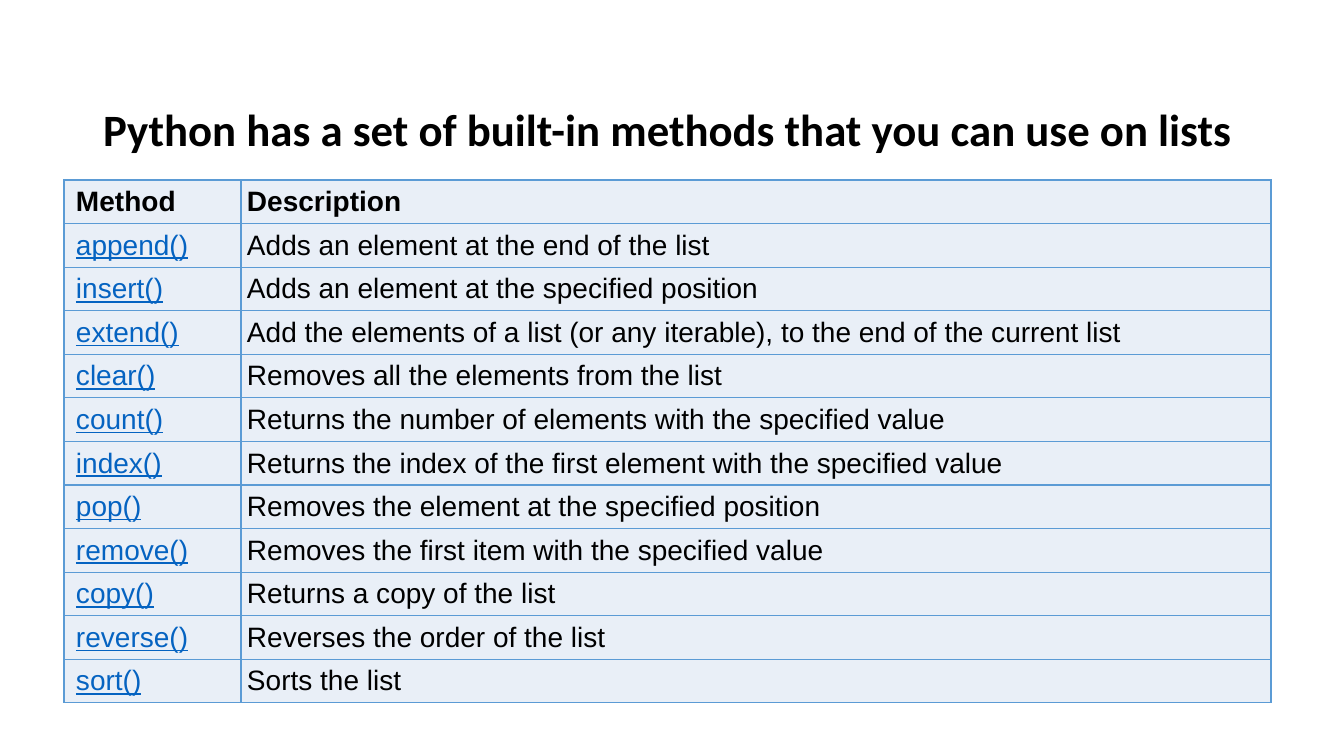
from dataclasses import dataclass

from lxml.etree import SubElement
from pptx import Presentation
from pptx.dml.color import RGBColor as RGB
from pptx.enum.text import MSO_ANCHOR as ANCHOR, MSO_AUTO_SIZE as AUTO, PP_ALIGN as ALIGN
from pptx.oxml.ns import qn
from pptx.util import Pt

SLIDE_W, SLIDE_H = 1344, 756
EMU_PER_PX = 12192000 / SLIDE_W


def px(n):
    return round(n * EMU_PER_PX)


@dataclass(frozen=True)
class Theme:
    text: str = "000000"
    link: str = "0563C1"
    cell: str = "E9EFF7"
    border: str = "5B9BD5"
    title_font: str = "Calibri"
    table_font: str = "Arial"
    title_size: int = 32
    table_size: int = 20
    border_width: int = 1


class SlideBuilder:
    def __init__(self, slide, theme):
        self.slide = slide
        self.theme = theme

    def style_run(self, r, font, size, color, bold=False, underline=False):
        r.font.name = font
        r.font.size = Pt(size)
        r.font.color.rgb = RGB.from_string(color)
        r.font.bold = bold
        r.font.underline = underline

    def title(self, text, x, y, w, h):
        sp = self.slide.shapes.title
        sp.left, sp.top, sp.width, sp.height = px(x), px(y), px(w), px(h)
        tf = sp.text_frame
        tf.text = text
        tf.word_wrap = True
        tf.auto_size = AUTO.NONE
        tf.vertical_anchor = ANCHOR.MIDDLE
        p = tf.paragraphs[0]
        p.alignment = ALIGN.LEFT
        p.line_spacing = 0.9
        t = self.theme
        self.style_run(p.runs[0], t.title_font, t.title_size, t.text, bold=True)

    def borders(self, cell):
        tc_pr = cell._tc.get_or_add_tcPr()
        for side in ("lnL", "lnR", "lnT", "lnB"):
            ln = SubElement(tc_pr, qn(f"a:{side}"), w=str(Pt(self.theme.border_width)))
            fill = SubElement(ln, qn("a:solidFill"))
            SubElement(fill, qn("a:srgbClr"), val=self.theme.border)

    def cell(self, cell, text, inset, color, bold, underline):
        t = self.theme
        cell.margin_left, cell.margin_right = px(inset), px(6)
        cell.margin_top = cell.margin_bottom = px(5)
        cell.vertical_anchor = ANCHOR.MIDDLE
        self.borders(cell)
        cell.fill.solid()
        cell.fill.fore_color.rgb = RGB.from_string(t.cell)
        cell.text_frame.text = text
        r = cell.text_frame.paragraphs[0].runs[0]
        self.style_run(r, t.table_font, t.table_size, color, bold, underline)

    def table(self, rows, x, y, col_widths, h):
        frame = self.slide.shapes.add_table(
            len(rows), len(col_widths), px(x), px(y), px(sum(col_widths)), px(h))
        table = frame.table
        table.first_row = table.horz_banding = False
        for column, width in zip(table.columns, col_widths):
            column.width = px(width)
        for i, row in enumerate(rows):
            table.rows[i].height = px(h / len(rows))
            for j, text in enumerate(row):
                header = i == 0
                method = j == 0 and not header
                self.cell(table.cell(i, j), text,
                          inset=12 if j == 0 else 6,
                          color=self.theme.link if method else self.theme.text,
                          bold=header, underline=method)


METHODS = [
    ("Method", "Description"),
    ("append()", "Adds an element at the end of the list"),
    ("insert()", "Adds an element at the specified position"),
    ("extend()", "Add the elements of a list (or any iterable), to the end of the current list"),
    ("clear()", "Removes all the elements from the list"),
    ("count()", "Returns the number of elements with the specified value"),
    ("index()", "Returns the index of the first element with the specified value"),
    ("pop()", "Removes the element at the specified position"),
    ("remove()", "Removes the first item with the specified value"),
    ("copy()", "Returns a copy of the list"),
    ("reverse()", "Reverses the order of the list"),
    ("sort()", "Sorts the list"),
]


def main():
    prs = Presentation()
    prs.slide_width, prs.slide_height = px(SLIDE_W), px(SLIDE_H)
    title_only = prs.slide_layouts[5]
    builder = SlideBuilder(prs.slides.add_slide(title_only), Theme())

    # Heading
    builder.title("Python has a set of built-in methods that you can use on lists",
                  93, 92, 1159, 80)

    # Table of list methods
    builder.table(METHODS, 64, 180, (177, 1030), 523)

    prs.save("out.pptx")


if __name__ == "__main__":
    main()
